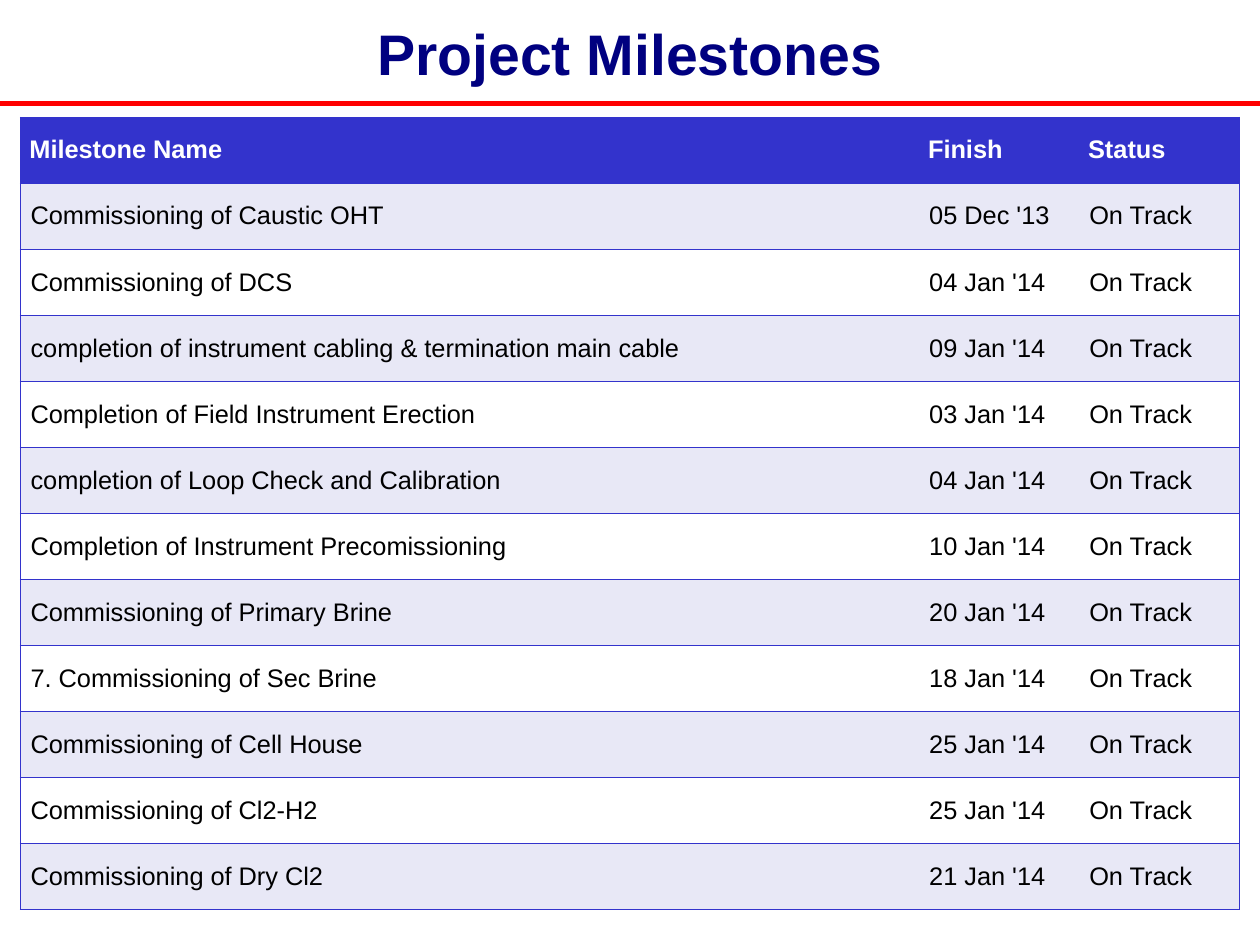
from lxml import etree
from pptx import Presentation
from pptx.dml.color import RGBColor
from pptx.enum.shapes import MSO_CONNECTOR
from pptx.enum.text import MSO_ANCHOR, PP_ALIGN
from pptx.oxml.ns import qn
from pptx.util import Cm, Inches, Pt

STRAIGHT = MSO_CONNECTOR.STRAIGHT
MIDDLE = MSO_ANCHOR.MIDDLE
CENTER = PP_ALIGN.CENTER

NAVY = RGBColor(0x00, 0x00, 0x80)
RED = RGBColor(0xFF, 0x00, 0x00)
BLUE = RGBColor(0x33, 0x33, 0xCC)
LAVENDER = RGBColor(0xE8, 0xE8, 0xF6)
WHITE = RGBColor(0xFF, 0xFF, 0xFF)
BLACK = RGBColor(0x00, 0x00, 0x00)

SLIDE_WIDTH = Cm(28)
SLIDE_HEIGHT = Cm(21)
BORDER_WIDTH = Pt(0.45)

TITLE_FONT = {"name": "Arial", "size": Pt(36), "bold": True}
HEADER_FONT = {"name": "Arial", "size": Pt(16), "bold": True}
BODY_FONT = {"name": "Arial", "size": Pt(16), "bold": False}

COLUMN_WEIGHTS = (7.86, 1.4, 1.4)
HEADINGS = ("Milestone Name", "Finish", "Status")
STATUS = "On Track"
MILESTONES = (
    ("Commissioning of Caustic OHT", "05 Dec '13"),
    ("Commissioning of DCS", "04 Jan '14"),
    ("completion of instrument cabling & termination main cable", "09 Jan '14"),
    ("Completion of Field Instrument Erection", "03 Jan '14"),
    ("completion of Loop Check and Calibration", "04 Jan '14"),
    ("Completion of Instrument Precomissioning", "10 Jan '14"),
    ("Commissioning of Primary Brine", "20 Jan '14"),
    ("7. Commissioning of Sec Brine", "18 Jan '14"),
    ("Commissioning of Cell House", "25 Jan '14"),
    ("Commissioning of Cl2-H2", "25 Jan '14"),
    ("Commissioning of Dry Cl2", "21 Jan '14"),
)


def across(percent):
    return round(SLIDE_WIDTH * percent / 100)


def down(percent):
    return round(SLIDE_HEIGHT * percent / 100)


def set_attributes(target, values):
    for name, value in values.items():
        setattr(target, name, value)


def write(paragraph, text, font, color):
    run = paragraph.add_run()
    run.text = text
    set_attributes(run.font, font)
    run.font.color.rgb = color


def add_title(slide, text):
    box = slide.shapes.add_textbox(across(5), down(1.45), across(90), down(9.07))
    set_attributes(box.text_frame, {
        "word_wrap": True, "vertical_anchor": MIDDLE,
        "margin_left": 0, "margin_right": 0, "margin_top": 0, "margin_bottom": 0,
    })
    paragraph = box.text_frame.paragraphs[0]
    set_attributes(paragraph, {"alignment": CENTER, "line_spacing": 0.93})
    write(paragraph, text, TITLE_FONT, NAVY)


def add_rule(slide):
    rule = slide.shapes.add_connector(STRAIGHT, 0, down(10.97), SLIDE_WIDTH, down(10.97))
    rule.line.color.rgb = RED
    rule.line.width = Pt(2.83)
    etree.SubElement(rule._element.spPr, qn("a:effectLst"))


def add_borders(cell, visible_sides):
    properties = cell._tc.get_or_add_tcPr()
    for side in "LRTB":
        line = etree.SubElement(properties, qn(f"a:ln{side}"), w=str(BORDER_WIDTH))
        if side in visible_sides:
            fill = etree.SubElement(line, qn("a:solidFill"))
            etree.SubElement(fill, qn("a:srgbClr"), val=str(BLUE))
        else:
            etree.SubElement(line, qn("a:noFill"))


def fill_cell(cell, text, font, color, background, margin, visible_sides):
    add_borders(cell, visible_sides)
    cell.fill.solid()
    cell.fill.fore_color.rgb = background
    set_attributes(cell, {
        "vertical_anchor": MIDDLE, "margin_left": margin, "margin_right": margin,
        "margin_top": Inches(0.05), "margin_bottom": Inches(0.05),
    })
    write(cell.text_frame.paragraphs[0], text, font, color)


def add_milestone_table(slide):
    rows = [HEADINGS] + [(name, finish, STATUS) for name, finish in MILESTONES]
    width, height = across(96.73), down(83.92)
    table = slide.shapes.add_table(
        len(rows), len(HEADINGS), across(1.61), down(12.39), width, height).table
    table.horz_banding = False
    for column, weight in zip(table.columns, COLUMN_WEIGHTS):
        column.width = round(width * weight / sum(COLUMN_WEIGHTS))
    outer_sides = ("LTB", "TB", "RTB")
    for row_index, values in enumerate(rows):
        table.rows[row_index].height = round(height / len(rows))
        if row_index == 0:
            style = (HEADER_FONT, WHITE, BLUE, Inches(0.08))
        else:
            style = (BODY_FONT, BLACK, LAVENDER if row_index % 2 else WHITE, Inches(0.09))
        for column_index, text in enumerate(values):
            fill_cell(table.cell(row_index, column_index), text, *style,
                      outer_sides[column_index])


def main():
    presentation = Presentation()
    presentation.slide_width = SLIDE_WIDTH
    presentation.slide_height = SLIDE_HEIGHT
    slide = presentation.slides.add_slide(presentation.slide_layouts[6])
    add_rule(slide)
    add_title(slide, "Project Milestones")
    add_milestone_table(slide)
    presentation.save("out.pptx")


if __name__ == "__main__":
    main()
